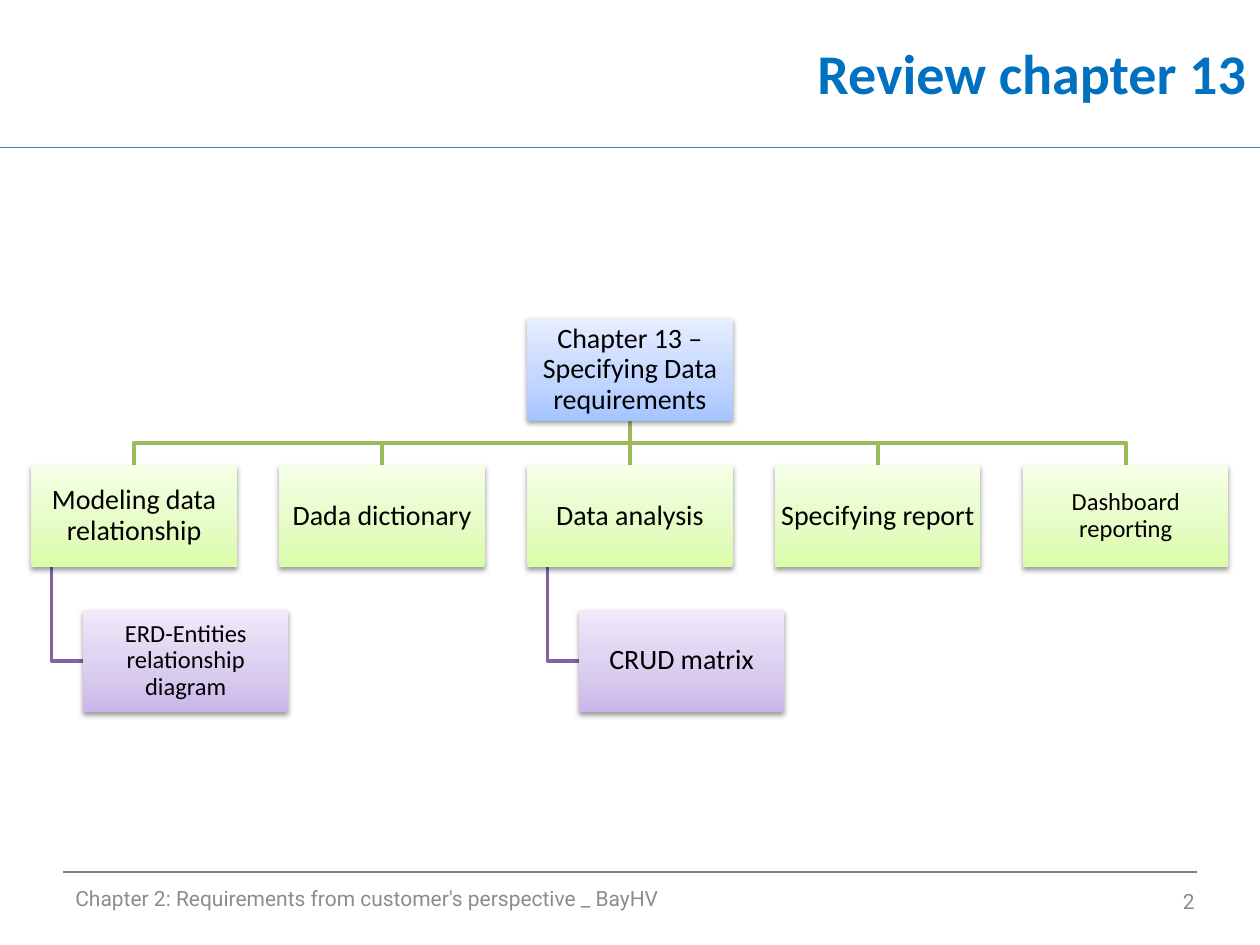
from lxml import etree
from pptx import Presentation
from pptx import util as u
from pptx.dml.color import RGBColor
from pptx.enum import shapes, text
from pptx.oxml import parse_xml
from pptx.oxml.ns import qn

COLORS = {
    "title": "0070C0", "footer": "8C8C8C", "label": "000000",
    "title_rule": "4B7EBC", "footer_rule": "808080",
    "topic_line": "9BBB59", "detail_line": "8064A2",
}
# Gradient stops from the bottom of a box to its top
GRADIENTS = {
    "root": ("A4C4FF", "BFD4FF", "E6EEFF"),
    "topic": ("DAFDA7", "E4FCC2", "F5FFE7"),
    "detail": ("C9B5E8", "D8CBEE", "F0EAF9"),
}
STOPS = (0, 35000, 100000)
NAMESPACE = 'xmlns:a="http://schemas.openxmlformats.org/drawingml/2006/main"'
SHADOW = (f'<a:effectLst {NAMESPACE}><a:outerShdw blurRad="40000" dist="20000" dir="5400000" '
          'rotWithShape="0"><a:srgbClr val="000000"><a:alpha val="38000"/></a:srgbClr>'
          '</a:outerShdw></a:effectLst>')

BOX_WIDTH, BOX_HEIGHT = 1.63, 0.81
MARGIN = 0.25
PITCH = (10 - 2 * MARGIN - BOX_WIDTH) / 4
ROOT_TOP, TOPIC_TOP, DETAIL_TOP = 2.53, 3.69, 4.84
DETAIL_INDENT, STEM_INDENT = 0.41, 0.16
CENTER = 5

TOPICS = [("Modeling data relationship", 16), ("Dada dictionary", 16), ("Data analysis", 16),
          ("Specifying report", 16), ("Dashboard reporting", 14)]
DETAILS = {0: ("ERD-Entities relationship diagram", 14), 2: ("CRUD matrix", 16)}


def write(shape, wording, size, color, font_name, align, bold=False):
    frame = shape.text_frame
    frame.word_wrap = True
    frame.vertical_anchor = text.MSO_ANCHOR.MIDDLE
    paragraph = frame.paragraphs[0]
    paragraph.text = wording
    paragraph.alignment = align
    for name, value in {"size": u.Pt(size), "name": font_name, "bold": bold}.items():
        setattr(paragraph.font, name, value)
    paragraph.font.color.rgb = RGBColor.from_string(COLORS[color])
    return paragraph


def style_line(shape, color, width):
    """Set the outline and take away the theme shadow."""
    shape.line.color.rgb = RGBColor.from_string(COLORS[color])
    shape.line.width = u.Pt(width)
    etree.SubElement(shape._element.spPr, qn("a:effectLst"))


presentation = Presentation()
presentation.slide_width, presentation.slide_height = u.Inches(10), u.Inches(7.5)
slide = presentation.slides.add_slide(presentation.slide_layouts[6])

# Rules under the title and above the footer
for left, right, top, color in [(0, 10, 1.17, "title_rule"), (0.5, 9.5, 6.92, "footer_rule")]:
    rule = slide.shapes.add_connector(shapes.MSO_CONNECTOR.STRAIGHT, u.Inches(left),
                                      u.Inches(top), u.Inches(right), u.Inches(top))
    style_line(rule, color, 0.75)

# Title, footer and slide number
LEFT, RIGHT = text.PP_ALIGN.LEFT, text.PP_ALIGN.RIGHT
for place, wording, size, color, font_name, align, bold in [
    ((2.9, 0, 7.09, 1.15), "Review chapter 13", 32, "title", "Calibri", RIGHT, True),
    ((0.5, 6.93, 6.67, 0.4), "Chapter 2: Requirements from customer's perspective _ BayHV",
     12, "footer", "Roboto", LEFT, False),
    ((7.25, 6.95, 2.33, 0.4), "2", 12, "footer", "Roboto", RIGHT, False),
]:
    box = slide.shapes.add_textbox(*map(u.Inches, place))
    write(box, wording, size, color, font_name, align, bold)

# Branches lie behind the boxes
root_bottom = ROOT_TOP + BOX_HEIGHT
middle = (root_bottom + TOPIC_TOP) / 2
branches = []
for column in (4, 3, 1, 0):
    x = MARGIN + column * PITCH + BOX_WIDTH / 2
    branches.append(("topic_line", [(CENTER, root_bottom), (CENTER, middle),
                                    (x, middle), (x, TOPIC_TOP)]))
for column in DETAILS:
    left = MARGIN + column * PITCH
    stem, y = left + STEM_INDENT, DETAIL_TOP + BOX_HEIGHT / 2
    branches.append(("detail_line", [(stem, TOPIC_TOP + BOX_HEIGHT), (stem, y),
                                     (left + DETAIL_INDENT, y)]))
for color, points in branches:
    start, *rest = [(u.Inches(x), u.Inches(y)) for x, y in points]
    builder = slide.shapes.build_freeform(*start)
    builder.add_line_segments(rest, close=False)
    branch = builder.convert_to_shape()
    branch.fill.background()
    style_line(branch, color, 2)
trunk = slide.shapes.add_connector(shapes.MSO_CONNECTOR.STRAIGHT, u.Inches(CENTER),
                                   u.Inches(root_bottom), u.Inches(CENTER), u.Inches(TOPIC_TOP))
style_line(trunk, "topic_line", 2)

# Boxes of the chart
nodes = [("root", CENTER - BOX_WIDTH / 2, ROOT_TOP, "Chapter 13 – Specifying Data requirements", 16)]
for column, (wording, size) in enumerate(TOPICS):
    left = MARGIN + column * PITCH
    nodes.append(("topic", left, TOPIC_TOP, wording, size))
    if column in DETAILS:
        nodes.append(("detail", left + DETAIL_INDENT, DETAIL_TOP, *DETAILS[column]))

boxes = {}
for level, left, top, wording, size in nodes:
    box = slide.shapes.add_shape(shapes.MSO_SHAPE.RECTANGLE, u.Inches(left), u.Inches(top),
                                 u.Inches(BOX_WIDTH), u.Inches(BOX_HEIGHT))
    box.line.fill.background()
    stops = "".join(f'<a:gs pos="{stop}"><a:srgbClr val="{color}"/></a:gs>'
                    for stop, color in zip(STOPS, GRADIENTS[level]))
    gradient = parse_xml(f'<a:gradFill {NAMESPACE} rotWithShape="1"><a:gsLst>{stops}</a:gsLst>'
                         '<a:lin ang="16200000" scaled="0"/></a:gradFill>')
    properties = box._element.spPr
    properties.find(qn("a:prstGeom")).addnext(gradient)
    properties.append(parse_xml(SHADOW))
    for side in ("left", "top", "right", "bottom"):
        setattr(box.text_frame, f"margin_{side}", u.Inches(0.01))
    paragraph = write(box, wording, size, "label", "Calibri", text.PP_ALIGN.CENTER)
    paragraph.line_spacing = 0.9
    boxes[wording] = box

trunk.begin_connect(boxes[nodes[0][3]], 2)
trunk.end_connect(boxes["Data analysis"], 0)

presentation.save("out.pptx")
